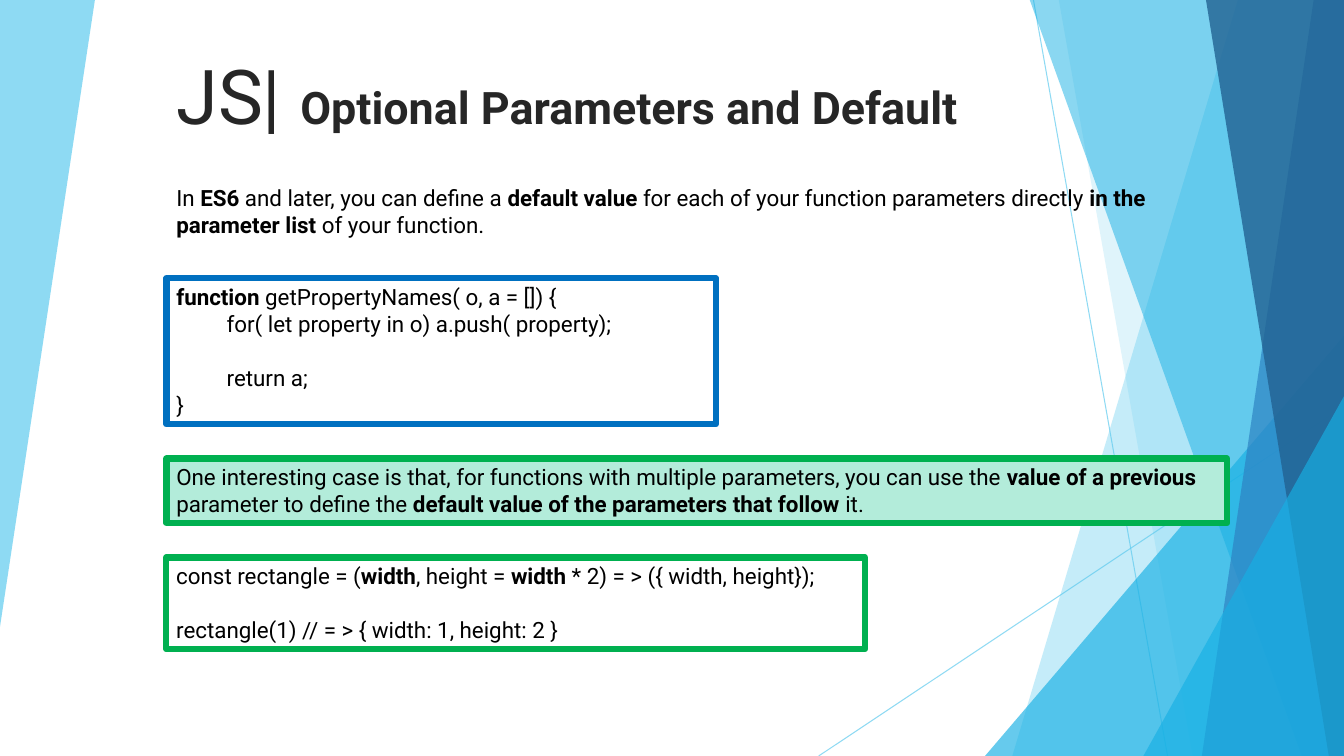
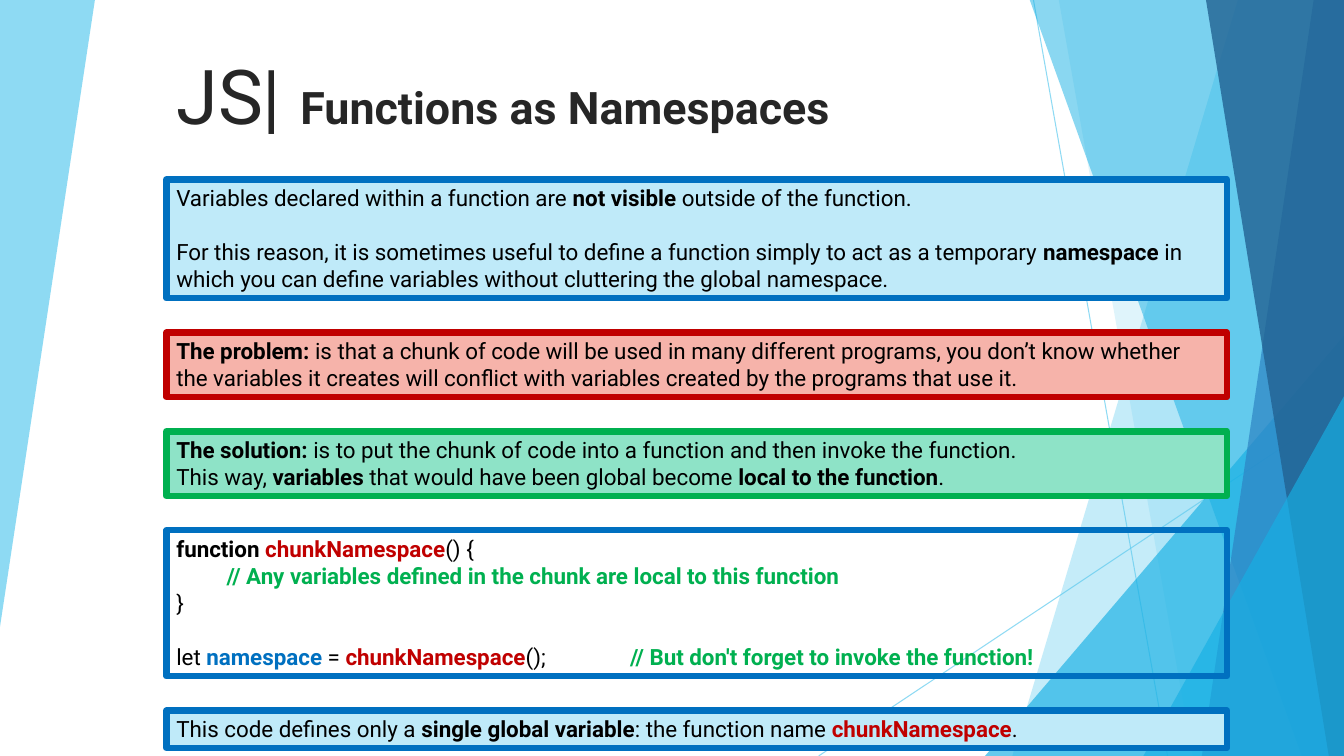
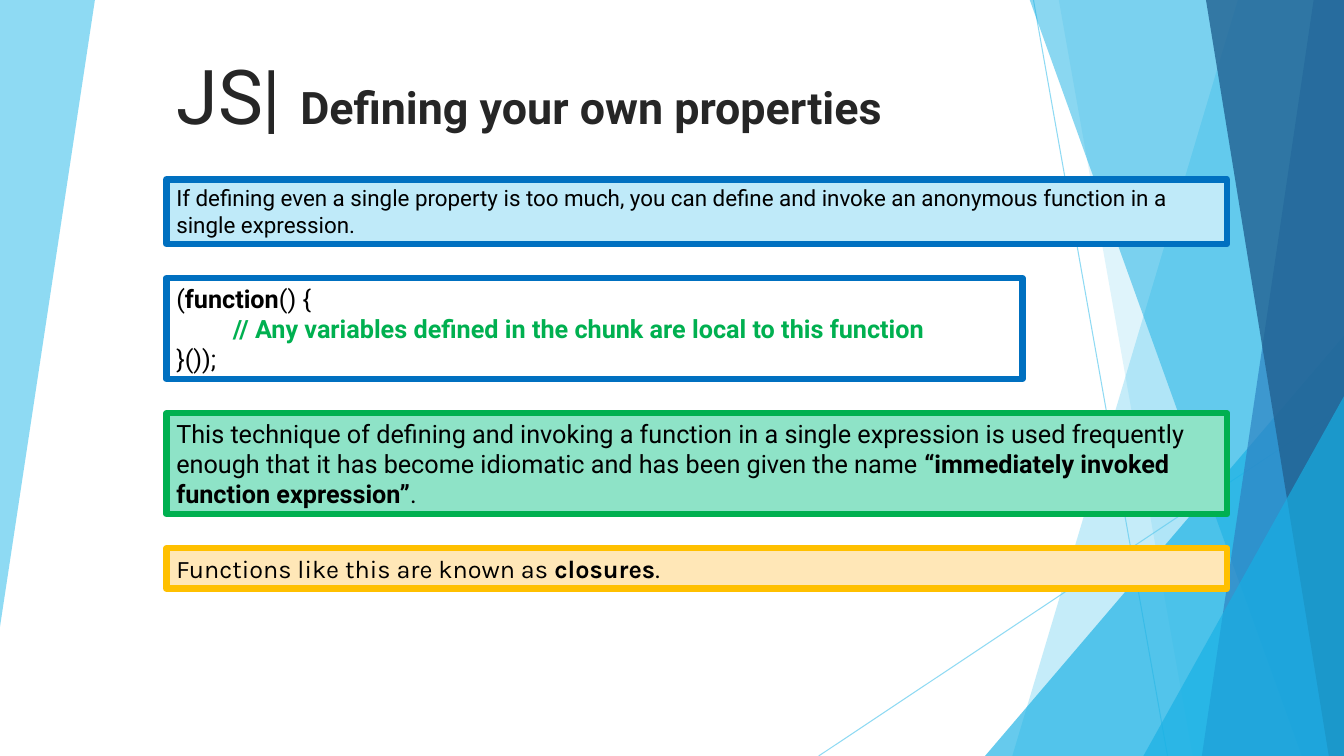
from typing import Any, NamedTuple

import pptx
import pptx.dml.color
import pptx.enum.shapes
import pptx.enum.text
import pptx.oxml.ns
import pptx.oxml.xmlchemy
import pptx.util

Inches = pptx.util.Inches
Pt = pptx.util.Pt

# Shared look
BLACK, INK = "000000", "262626"
BLUE, GREEN, RED, AMBER = "0070C0", "00B050", "C00000", "FFC000"
PALE_BLUE, PALE_RED, PALE_AMBER = "BFEAF9", "F6B3AA", "FFE7B7"
PALE_GREEN, MID_GREEN = "B3ECDA", "8EE3C7"
SKY, CYAN, STEEL, NAVY = "5FCBEF", "17B0E4", "2E83C3", "226292"
FONT = "Roboto"
LEFT, TOP, FULL_WIDTH, GAP = 1.65, 1.78, 10.52, 0.34
TITLE_WIDTH = 8.49
PADDING = 0.1
LINE_HEIGHT = {16: 0.27, 18: 0.3}
SLIDE_WIDTH, SLIDE_HEIGHT = 13.33, 7.5


class Span(NamedTuple):
    text: str
    bold: bool = False
    color: str = BLACK


class Para(NamedTuple):
    spans: list[Span]
    line_above: bool = False


class Box(NamedTuple):
    lines: int
    paras: list[Para]
    border: str | None = None
    fill: str | None = None
    width: float = FULL_WIDTH
    size: int = 16
    font: str = FONT


class Page(NamedTuple):
    title: str
    boxes: list[Box]


class Facet(NamedTuple):
    points: list[tuple[float, float]]
    color: str
    alpha: int


class Wedge(NamedTuple):
    left: float
    top: float


class Ray(NamedTuple):
    start: tuple[float, float]
    end: tuple[float, float]


def plain(text: str) -> Span:
    return Span(text)


def bold(text: str, color: str = BLACK) -> Span:
    return Span(text, True, color)


def para(*spans: Span, line_above: bool = False) -> Para:
    return Para(list(spans), line_above)


def band(top_x: float, bottom_x: float, color: str, alpha: int) -> Facet:
    """A full-height facet that reaches the right edge of the slide."""
    return Facet([(top_x, -0.01), (SLIDE_WIDTH, -0.01),
                  (SLIDE_WIDTH, SLIDE_HEIGHT), (bottom_x, SLIDE_HEIGHT)],
                 color, alpha)


# Background, from back to front
DECOR: list[Facet | Wedge | Ray] = [
    Facet([(0, 0), (0.94, -0.01), (0.94, 0.01), (0, 6.22)], SKY, 70),
    Ray((10.25, 0), (11.58, SLIDE_HEIGHT)),
    Ray((SLIDE_WIDTH, 4.03), (8.12, SLIDE_HEIGHT)),
    band(12.28, 10.04, SKY, 36),
    band(10.5, 11.83, SKY, 20),
    Wedge(9.77, 3.33),
    band(10.21, 12.91, CYAN, 50),
    band(13.03, 11.92, STEEL, 70),
    band(11.96, 13.18, NAVY, 80),
    Wedge(11.34, 3.93),
]

# Slide content
LOCAL_NOTE = "// Any variables defined in the chunk are local to this function "
PAGES = [
    Page("Optional Parameters and Default", [
        Box(2, [para(
            plain("In "), bold("ES6"),
            plain(" and later, you can define a "), bold("default value "),
            plain("for each of your function parameters directly "),
            bold("in the parameter list"), plain(" of your function. "))]),
        Box(5, [
            para(bold("function "), plain("getPropertyNames( o, a = []) { ")),
            para(plain("\tfor( let property in o) a.push( property); ")),
            para(plain("\treturn a;"), line_above=True),
            para(plain("}")),
        ], BLUE, width=5.45),
        Box(2, [para(
            plain("One interesting case is that, for functions with multiple "
                  "parameters, you can use the "),
            bold("value of a previous "),
            plain("parameter to define the "),
            bold("default value of the parameters that follow "),
            plain("it."))], GREEN, PALE_GREEN),
        Box(3, [
            para(plain("const rectangle = ("), bold("width"),
                 plain(", height = "), bold("width "),
                 plain("* 2) = > ({ width, height});")),
            para(plain("rectangle(1) // = > { width: 1, height: 2 }"),
                 line_above=True),
        ], GREEN, width=6.93),
    ]),
    Page("Functions as Namespaces", [
        Box(4, [
            para(plain("Variables declared within a function are "),
                 bold("not visible "), plain("outside of the function.")),
            para(plain("For this reason, it is sometimes useful to define a "
                       "function simply to act as a temporary "),
                 bold("namespace"),
                 plain(" in which you can define variables without "
                       "cluttering the global namespace."), line_above=True),
        ], BLUE, PALE_BLUE),
        Box(2, [para(
            bold("The problem:"),
            plain(" is that a chunk of code will be used in many different "
                  "programs, you don’t know whether the variables it creates "
                  "will conflict with variables created by the programs that "
                  "use it. "))], RED, PALE_RED),
        Box(2, [
            para(bold("The solution: "),
                 plain("is to put the chunk of code into a function and then "
                       "invoke the function. ")),
            para(plain("This way, "), bold("variables"),
                 plain(" that would have been global become "),
                 bold("local to the function"), plain(".")),
        ], GREEN, MID_GREEN),
        Box(5, [
            para(bold("function "), bold("chunkNamespace", RED),
                 plain("() {")),
            para(plain("\t"), bold(LOCAL_NOTE, GREEN)),
            para(plain("} ")),
            para(plain("let "), bold("namespace", BLUE), plain(" = "),
                 bold("chunkNamespace", RED), plain("();\t\t"),
                 bold("// But don't forget to invoke the function!", GREEN),
                 line_above=True),
        ], BLUE),
        Box(1, [para(
            plain("This code defines only a "), bold("single global variable"),
            plain(": the function name "), bold("chunkNamespace", RED),
            plain(". "))], BLUE, PALE_BLUE),
    ]),
    Page("Defining your own properties", [
        Box(2, [para(plain(
            "If defining even a single property is too much, you can define "
            "and invoke an anonymous function in a single expression. "))],
            BLUE, PALE_BLUE),
        Box(3, [
            para(plain("("), bold("function"), plain("() {")),
            para(plain("\t"), bold(" " + LOCAL_NOTE, GREEN)),
            para(plain("}()); ")),
        ], BLUE, width=TITLE_WIDTH, size=18),
        Box(3, [para(
            plain("This technique of defining and invoking a function in a "
                  "single expression is used frequently enough that it has "
                  "become idiomatic and has been given the name "),
            bold("“immediately invoked function expression”"), plain("."))],
            GREEN, MID_GREEN, size=18),
        Box(1, [para(plain("Functions like this are known as "),
                     bold("closures"), plain("."))],
            AMBER, PALE_AMBER, size=18, font="Karla"),
    ]),
]


# Drawing helpers
def rgb(color: str) -> pptx.dml.color.RGBColor:
    return pptx.dml.color.RGBColor.from_string(color)


def apply(target: Any, values: dict[str, Any]) -> None:
    for name, value in values.items():
        setattr(target, name, value)


def paint(fill: Any, color: str) -> None:
    fill.solid()
    fill.fore_color.rgb = rgb(color)


def set_alpha(shape: Any, percent: int) -> None:
    for color in shape.element.spPr.iter(pptx.oxml.ns.qn("a:srgbClr")):
        alpha = pptx.oxml.xmlchemy.OxmlElement("a:alpha")
        alpha.set("val", str(percent * 1000))
        color.append(alpha)


def add_span(paragraph: Any, span: Span, size: int, font: str) -> None:
    run = paragraph.add_run()
    run.text = span.text
    apply(run.font, {"size": Pt(size), "name": font, "bold": span.bold})
    run.font.color.rgb = rgb(span.color)


def draw_ray(slide: Any, ray: Ray) -> Any:
    line = slide.shapes.add_connector(
        pptx.enum.shapes.MSO_CONNECTOR.STRAIGHT,
        *(Inches(value) for value in ray.start + ray.end))
    line.line.width = Pt(0.75)
    paint(line.line.fill, SKY)
    line.element.spPr.append(pptx.oxml.xmlchemy.OxmlElement("a:effectLst"))
    set_alpha(line, 70)
    return line


def draw_solid(slide: Any, item: Facet | Wedge) -> Any:
    if isinstance(item, Wedge):
        shape = slide.shapes.add_shape(
            pptx.enum.shapes.MSO_SHAPE.ISOSCELES_TRIANGLE,
            Inches(item.left), Inches(item.top),
            Inches(SLIDE_WIDTH - item.left), Inches(SLIDE_HEIGHT - item.top))
        shape.adjustments[0] = 1
        color, alpha = CYAN, 66
    else:
        points = [(Inches(x), Inches(y)) for x, y in item.points]
        builder = slide.shapes.build_freeform(*points[0])
        builder.add_line_segments(points[1:], close=True)
        shape = builder.convert_to_shape()
        color, alpha = item.color, item.alpha
    paint(shape.fill, color)
    shape.line.fill.background()
    shape.shadow.inherit = False
    set_alpha(shape, alpha)
    return shape


def move_decor_to_layout(slide: Any, layout: Any) -> None:
    """Draw the background once and hang it on the shared layout."""
    for index, item in enumerate(DECOR):
        draw = draw_ray if isinstance(item, Ray) else draw_solid
        element = draw(slide, item).element
        element.xpath(".//p:cNvPr")[0].set("id", str(100 + index))
        layout.shapes.element.insert(2 + index, element)


def draw_title(slide: Any, text: str) -> None:
    title = slide.shapes.title
    apply(title, {"left": Inches(LEFT), "top": Inches(0.38),
                  "width": Inches(TITLE_WIDTH), "height": Inches(1.06)})
    apply(title.text_frame, {
        "word_wrap": True,
        "auto_size": pptx.enum.text.MSO_AUTO_SIZE.NONE,
        "vertical_anchor": pptx.enum.text.MSO_ANCHOR.BOTTOM})
    paragraph = title.text_frame.paragraphs[0]
    paragraph.alignment = pptx.enum.text.PP_ALIGN.LEFT
    add_span(paragraph, Span("JS| ", False, INK), 54, FONT)
    add_span(paragraph, Span(text, True, INK), 32, FONT)


def draw_box(slide: Any, box: Box, top: float) -> float:
    """Draw one box and return the top of the next one."""
    height = PADDING + box.lines * LINE_HEIGHT[box.size]
    shape = slide.shapes.add_textbox(Inches(LEFT), Inches(top),
                                     Inches(box.width), Inches(height))
    if box.fill:
        paint(shape.fill, box.fill)
    if box.border:
        shape.line.width = Pt(4.5)
        paint(shape.line.fill, box.border)
    frame = shape.text_frame
    apply(frame, {"word_wrap": True,
                  "auto_size": pptx.enum.text.MSO_AUTO_SIZE.SHAPE_TO_FIT_TEXT})
    for index, item in enumerate(box.paras):
        paragraph = frame.add_paragraph() if index else frame.paragraphs[0]
        if item.line_above:
            paragraph.space_before = Pt(LINE_HEIGHT[box.size] * 72)
        for span in item.spans:
            add_span(paragraph, span, box.size, box.font)
    return top + height + GAP


# Build the deck
deck = pptx.Presentation()
apply(deck, {"slide_width": Inches(SLIDE_WIDTH),
             "slide_height": Inches(SLIDE_HEIGHT)})
title_only = deck.slide_layouts.get_by_name("Title Only")

for number, page in enumerate(PAGES):
    slide = deck.slides.add_slide(title_only)
    if number == 0:
        move_decor_to_layout(slide, title_only)
    draw_title(slide, page.title)
    next_top = TOP
    for box in page.boxes:
        next_top = draw_box(slide, box, next_top)

deck.save("out.pptx")
